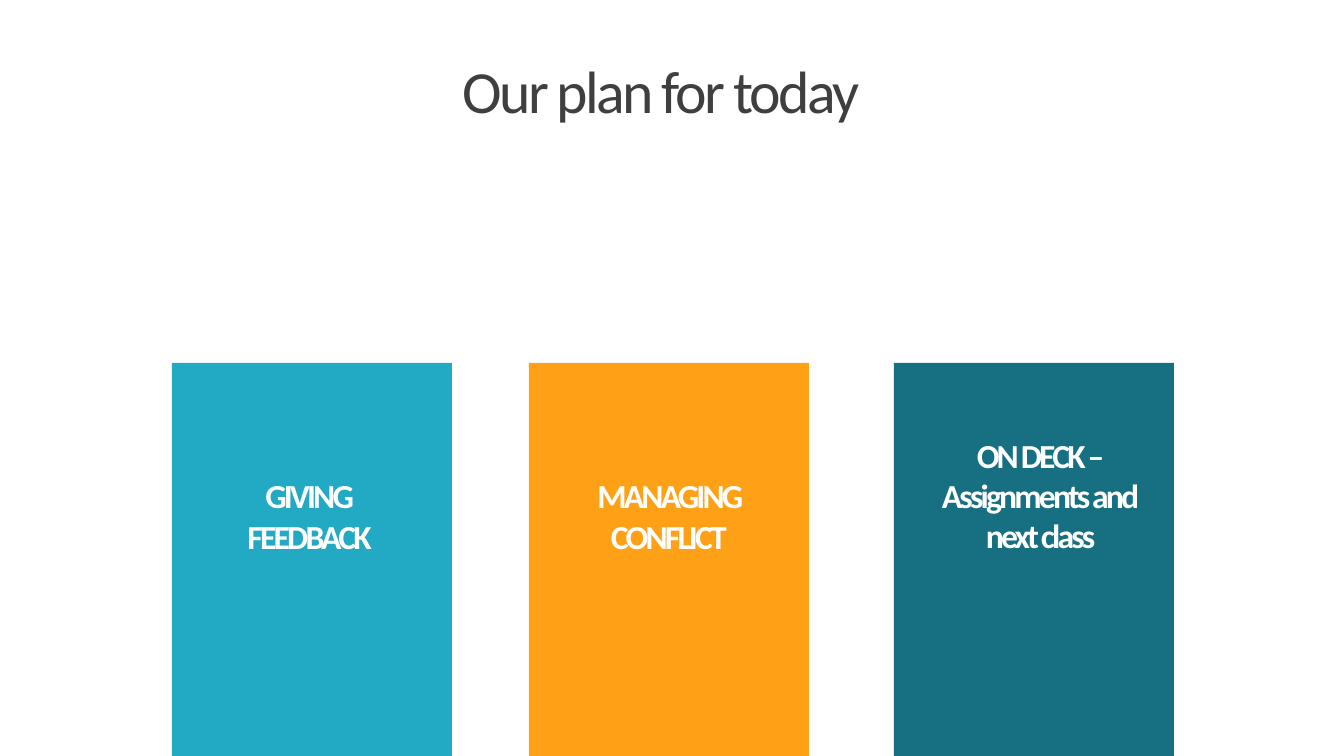
from pptx import Presentation
from pptx.dml.color import RGBColor
from pptx.enum.shapes import MSO_SHAPE as SHAPE
from pptx.enum.text import MSO_ANCHOR as ANCHOR, PP_ALIGN as ALIGN
from pptx.util import Emu, Pt

SCALE = 914400 / 134.4  # EMU per px


def px(*lengths):
    return [Emu(round(n * SCALE)) for n in lengths]


def add_text(box, lines, size, color, bold=False):
    tb = s.shapes.add_textbox(*px(*box))
    tf = tb.text_frame
    tf.word_wrap = True
    tf.vertical_anchor = ANCHOR.MIDDLE
    for i, line in enumerate(lines):
        p = tf.paragraphs[0] if i == 0 else tf.add_paragraph()
        p.alignment = ALIGN.CENTER
        p.font.name = "Calibri"
        p.font.size = Pt(size)
        p.font.bold = bold
        p.font.color.rgb = RGBColor.from_string(color)
        r = p.add_run()
        r.text = line
        r._r.get_or_add_rPr().set("spc", "-150")  # tight letter spacing


prs = Presentation()
prs.slide_width, prs.slide_height = px(1344, 756)
s = prs.slides.add_slide(prs.slide_layouts[6])

# Title
add_text((142, 55, 1038, 69), ["Our plan for today"], 32, "3F3F3F")

# Agenda columns: left, fill, text left, text width, text height, lines
TOP, WIDTH, HEIGHT = 363, 280, 393
columns = [
    (172, "22A9C4", 172, 280, 305, ["GIVING ", "FEEDBACK "]),
    (529, "FFA117", 529, 280, 305, ["MANAGING CONFLICT"]),
    (894, "177082", 898, 290, 264,
     ["ON DECK – ", "Assignments and ", "next class "]),
]
for left, fill, text_left, text_width, text_height, lines in columns:
    sp = s.shapes.add_shape(SHAPE.RECTANGLE, *px(left, TOP, WIDTH, HEIGHT))
    sp.shadow.inherit = False
    sp.fill.solid()
    sp.fill.fore_color.rgb = RGBColor.from_string(fill)
    sp.line.fill.background()
    add_text((text_left, TOP, text_width, text_height), lines, 18, "FFFFFF", True)

prs.save("out.pptx")
